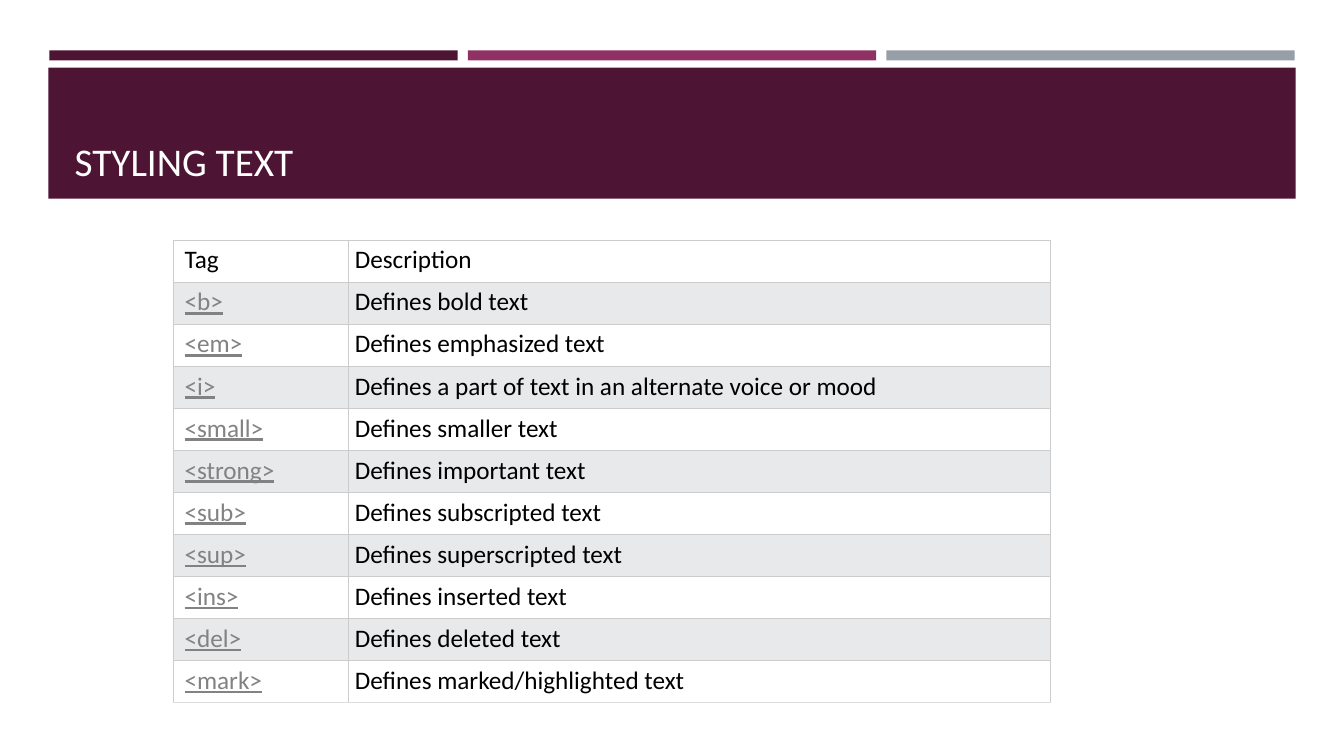
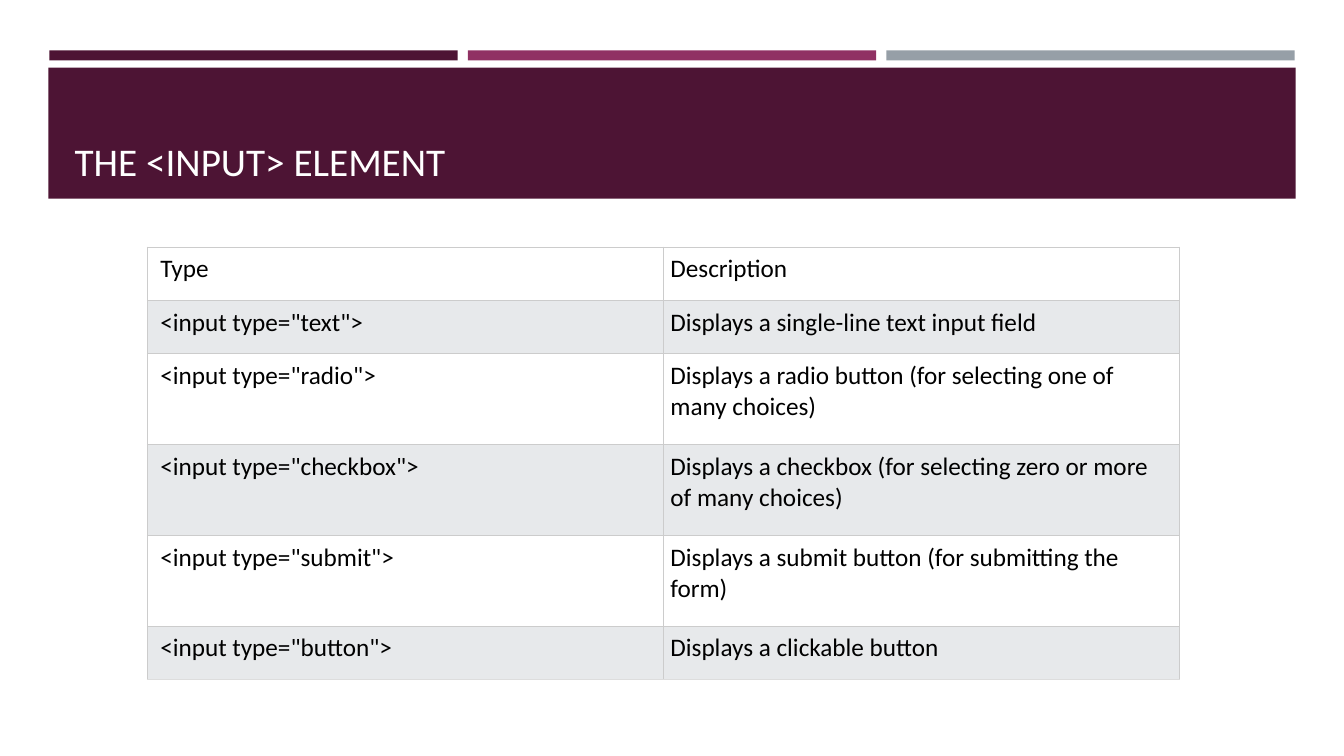
from dataclasses import dataclass

from lxml.etree import SubElement
from pptx import Presentation
from pptx.dml.color import RGBColor
from pptx.enum.shapes import MSO_SHAPE
from pptx.enum.text import MSO_ANCHOR, MSO_AUTO_SIZE, PP_ALIGN
from pptx.oxml.ns import qn
from pptx.slide import Slide, SlideLayout
from pptx.table import _Cell
from pptx.util import Inches, Pt

FONT = "Calibri"
COLORS = {
    "plum": "4D1434",
    "magenta": "903163",
    "gray": "969FA7",
    "white": "FFFFFF",
    "black": "000000",
    "stripe": "E7E9EB",
    "link": "828282",
    "grid": "CCCCCC",
    "last_line": "DDDDDD",
}


@dataclass(frozen=True)
class Band:
    left: float
    top: float
    width: float
    height: float
    color: str


@dataclass(frozen=True)
class TableSlide:
    title: str
    left: float
    top: float
    column_widths: tuple[float, ...]
    row_heights: tuple[float, ...]
    first_inset: float
    side_inset: float
    vertical_inset: float
    linked_tags: bool
    rows: tuple[tuple[str, str], ...]


STRIP_WIDTH = 4.05
STRIP_STEP = 4.15
BANDS = [
    Band(0.49 + index * STRIP_STEP, 0.5, STRIP_WIDTH, 0.1, color)
    for index, color in enumerate(("plum", "magenta", "gray"))
] + [Band(0.48, 0.67, 12.37, 1.3, "plum")]

TABLE_SLIDES = (
    TableSlide(
        title="STYLING TEXT",
        left=1.72,
        top=2.38,
        column_widths=(1.74, 6.96),
        row_heights=(4.59 / 11,) * 11,
        first_inset=0.11,
        side_inset=0.06,
        vertical_inset=0.05,
        linked_tags=True,
        rows=(
            ("Tag", "Description"),
            ("<b>", "Defines bold text"),
            ("<em>", "Defines emphasized text"),
            ("<i>", "Defines a part of text in an alternate voice or mood"),
            ("<small>", "Defines smaller text"),
            ("<strong>", "Defines important text"),
            ("<sub>", "Defines subscripted text"),
            ("<sup>", "Defines superscripted text"),
            ("<ins>", "Defines inserted text"),
            ("<del>", "Defines deleted text"),
            ("<mark>", "Defines marked/highlighted text"),
        ),
    ),
    TableSlide(
        title="THE <INPUT> ELEMENT",
        left=1.46,
        top=2.45,
        column_widths=(5.12, 5.12),
        row_heights=(0.53, 0.53, 0.9, 0.9, 0.9, 0.53),
        first_inset=0.13,
        side_inset=0.07,
        vertical_inset=0.07,
        linked_tags=False,
        rows=(
            ("Type", "Description"),
            ('<input type="text">', "Displays a single-line text input field"),
            ('<input type="radio">', "Displays a radio button (for selecting one of many choices)"),
            ('<input type="checkbox">', "Displays a checkbox (for selecting zero or more of many choices)"),
            ('<input type="submit">', "Displays a submit button (for submitting the form)"),
            ('<input type="button">', "Displays a clickable button"),
        ),
    ),
)


def rgb(color: str) -> RGBColor:
    return RGBColor.from_string(COLORS[color])


def move_bands_to_layout(page: Slide, layout: SlideLayout) -> None:
    layout_tree = layout.shapes._spTree
    for index, band in enumerate(BANDS):
        box = page.shapes.add_shape(
            MSO_SHAPE.RECTANGLE,
            Inches(band.left), Inches(band.top), Inches(band.width), Inches(band.height),
        )
        box.shadow.inherit = False
        box.fill.solid()
        box.fill.fore_color.rgb = rgb(band.color)
        box.line.fill.background()
        box._element.nvSpPr.cNvPr.set("id", str(100 + index))
        layout_tree.insert(2 + index, box._element)


def write_title(page: Slide, text: str) -> None:
    title = page.shapes.title
    title.left, title.top = Inches(0.64), Inches(0.77)
    title.width, title.height = Inches(12.06), Inches(1.11)
    frame = title.text_frame
    frame.text = text
    frame.word_wrap = True
    frame.auto_size = MSO_AUTO_SIZE.NONE
    frame.vertical_anchor = MSO_ANCHOR.BOTTOM
    para = frame.paragraphs[0]
    para.alignment = PP_ALIGN.LEFT
    span = para.runs[0]
    span.font.name = FONT
    span.font.size = Pt(28)
    span.font.color.rgb = rgb("white")


def draw_borders(cell: _Cell, is_last_row: bool) -> None:
    properties = cell._tc.get_or_add_tcPr()
    for side in "LRTB":
        color = "last_line" if side == "B" and is_last_row else "grid"
        line = SubElement(properties, qn(f"a:ln{side}"), w=str(Pt(0.6)))
        fill = SubElement(line, qn("a:solidFill"))
        SubElement(fill, qn("a:srgbClr"), val=COLORS[color])


def write_cell(cell: _Cell, text: str, background: str, linked: bool) -> None:
    cell.fill.solid()
    cell.fill.fore_color.rgb = rgb(background)
    cell.text_frame.text = text
    span = cell.text_frame.paragraphs[0].runs[0]
    span.font.name = FONT
    span.font.size = Pt(18)
    span.font.color.rgb = rgb("link" if linked else "black")
    span.font.underline = linked


def draw_table(page: Slide, content: TableSlide) -> None:
    table = page.shapes.add_table(
        len(content.rows), len(content.column_widths),
        Inches(content.left), Inches(content.top),
        Inches(sum(content.column_widths)), Inches(sum(content.row_heights)),
    ).table
    table.first_row = False
    table.horz_banding = False
    for column, width in zip(table.columns, content.column_widths):
        column.width = Inches(width)
    for row, height in zip(table.rows, content.row_heights):
        row.height = Inches(height)
    for row_index, texts in enumerate(content.rows):
        background = "stripe" if row_index % 2 else "white"
        for column_index, text in enumerate(texts):
            cell = table.cell(row_index, column_index)
            is_first_column = column_index == 0
            cell.margin_left = Inches(content.first_inset if is_first_column else content.side_inset)
            cell.margin_right = Inches(content.side_inset)
            cell.margin_top = cell.margin_bottom = Inches(content.vertical_inset)
            draw_borders(cell, row_index == len(content.rows) - 1)
            linked = content.linked_tags and is_first_column and row_index > 0
            write_cell(cell, text, background, linked)


def main() -> None:
    deck = Presentation()
    deck.slide_width, deck.slide_height = Inches(13.33), Inches(7.5)
    layout = deck.slide_layouts.get_by_name("Title Only")
    for index, content in enumerate(TABLE_SLIDES):
        page = deck.slides.add_slide(layout)
        if index == 0:
            move_bands_to_layout(page, layout)
        write_title(page, content.title)
        draw_table(page, content)
    deck.save("out.pptx")


if __name__ == "__main__":
    main()
